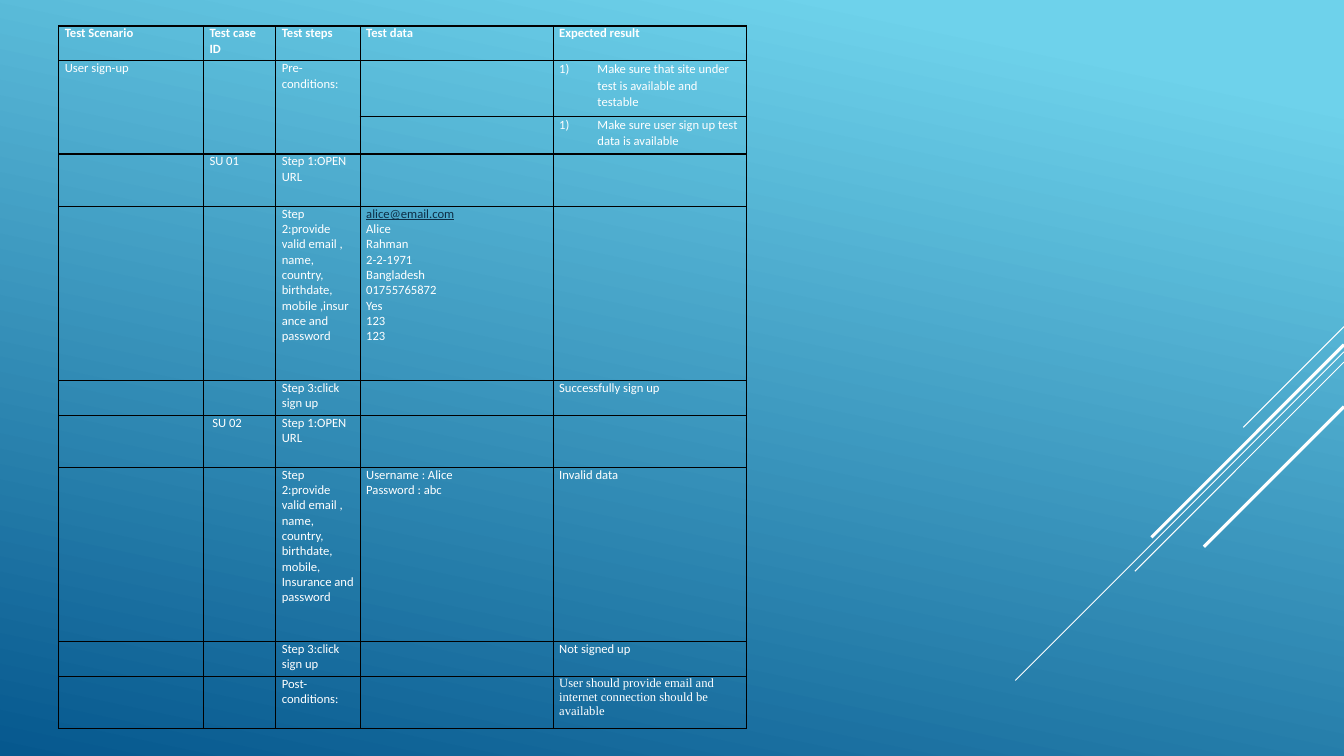
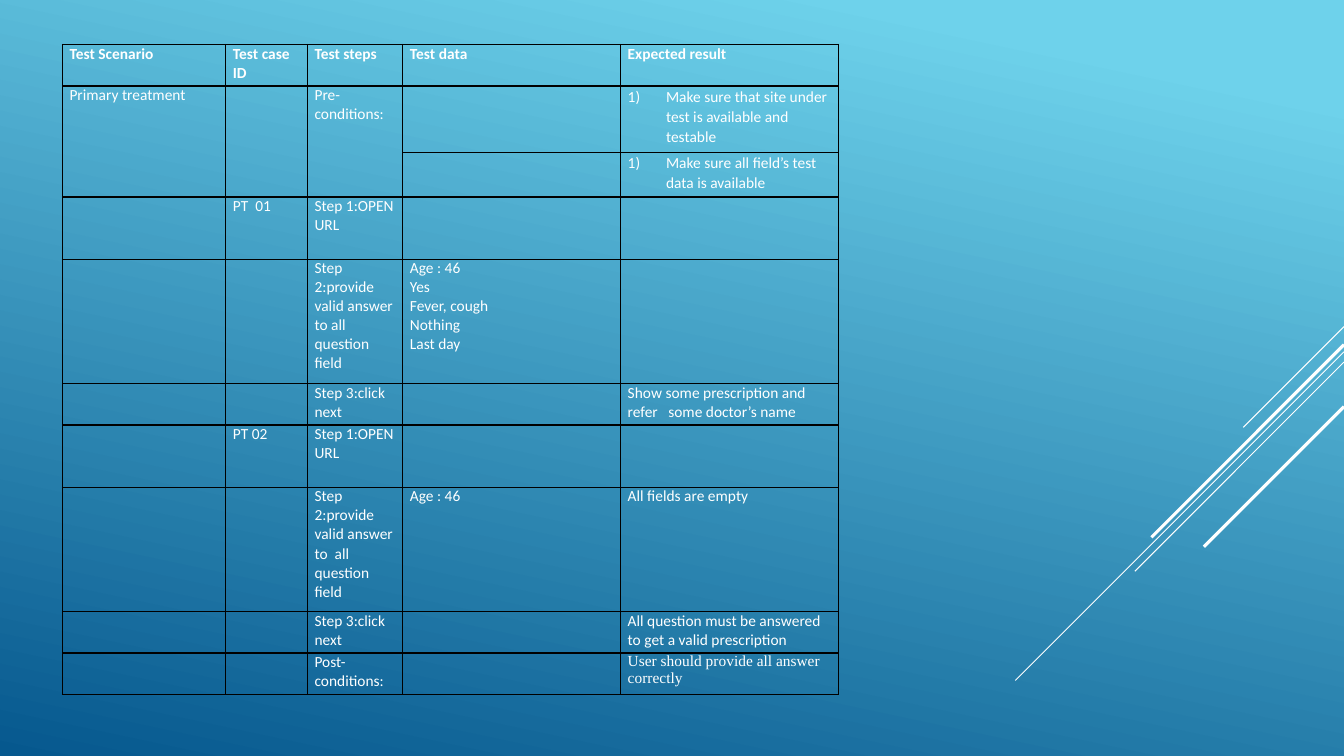
from pptx import Presentation
from pptx.dml.color import RGBColor
from pptx.enum.shapes import MSO_CONNECTOR
from pptx.oxml import parse_xml
from pptx.oxml.ns import nsdecls
from pptx.util import Inches, Pt

STRAIGHT = MSO_CONNECTOR.STRAIGHT
COLS, ROWS = 160, 90  # slide grid
WHITE, BLACK, LINK = "FFFFFF", "000000", "0D2E46"
SKY, DEEP = "6ED2EB", "06588E"
BODY, SERIF = "Calibri", "Times New Roman"
# Top row and run of each diagonal from the right edge, line width in points
RAYS = [(38.88, 12, 0.75), (41.88, 39.12, 0.75), (43.1, 24.9, 0.75),
        (41.04, 22.92, 2.25), (48.4, 16.68, 2.25)]
WIDTHS = [12, 6, 7, 16, 16]
HEADS = ["Test Scenario", "Test case ID", "Test steps", "Test data", "Expected result"]
SITE = "Make sure that site under test is available and testable"


def color(code):
    return RGBColor.from_string(code)


def xml(tag, attrs="", inner=""):
    return parse_xml(f"<a:{tag} {nsdecls('a')} {attrs}>{inner}</a:{tag}>")


def split(total, parts):
    """Divide a length in proportion to the parts."""
    return [round(total * part / sum(parts)) for part in parts]


def write(frame, text, size, font=BODY, bold=False, listed=False):
    """Fill a frame, one paragraph a line; addresses look like links."""
    for i, line in enumerate(text.split("\n")):
        para = frame.paragraphs[0] if i == 0 else frame.add_paragraph()
        if listed:
            para.line_spacing = 1.07
            props = para._p.get_or_add_pPr()
            props.set("marL", str(Inches(0.38)))
            props.set("indent", str(-Inches(0.38)))
            props.append(xml("buAutoNum", 'type="arabicParenR"'))
        run = para.add_run()
        run.text = line
        link = "@" in line
        run.font.name, run.font.size = font, Pt(size)
        run.font.bold, run.font.underline = bold, link
        run.font.color.rgb = color(LINK if link else WHITE)


def case(code, fill, data, reply, click, result):
    """Three table rows: open, fill in, click."""
    return [["", code, "Step 1:OPEN URL", "", ""],
            ["", "", "Step 2:provide valid " + fill, data, reply],
            ["", "", "Step 3:click " + click, "", result]]


class Deck:
    def __init__(self):
        self.prs = Presentation()
        self.prs.slide_width = Inches(13.33)
        self.prs.slide_height = Inches(7.5)
        self.slide = None
        self.paint()

    def x(self, cols):
        return round(self.prs.slide_width * cols / COLS)

    def y(self, rows):
        return round(self.prs.slide_height * rows / ROWS)

    def paint(self):
        """Give the master its gradient."""
        fill = self.prs.slide_master.background.fill
        fill.gradient()
        fill.gradient_angle = 360 - 102
        for stop, place, code in zip(fill.gradient_stops, (0.1, 1), (SKY, DEEP)):
            stop.position = place
            stop.color.rgb = color(code)

    def page(self):
        self.slide = self.prs.slides.add_slide(self.prs.slide_layouts[6])
        for top, run, width in RAYS:
            self.ray(top, run, width)

    def ray(self, top, run, width):
        """Draw a diagonal down and left from the right edge."""
        ray = self.slide.shapes.add_connector(
            STRAIGHT, self.x(COLS), self.y(top), self.x(COLS - run), self.y(top + run))
        ray.line.color.rgb = color(WHITE)
        ray.line.width = Pt(width)
        ray._element.spPr.append(xml("effectLst"))

    def cell(self, cell, text, size, pad, **style):
        cell.margin_left = cell.margin_right = Inches(pad)
        cell.margin_top = cell.margin_bottom = 0
        cell.fill.background()
        props = cell._tc.get_or_add_tcPr()
        paint = f'<a:solidFill><a:srgbClr val="{BLACK}"/></a:solidFill>'
        for i, side in enumerate("LRTB"):
            props.insert(i, xml("ln" + side, f'w="{Pt(1)}"', paint))
        if text:
            write(cell.text_frame, text, size, **style)

    def grid(self, box, cells, parts, size, pad):
        left, top, wide, high = box
        wide, high = self.x(wide), self.y(high)
        table = self.slide.shapes.add_table(
            len(cells), len(WIDTHS), self.x(left), self.y(top), wide, high).table
        table.first_row = table.horz_banding = False
        for col, width in zip(table.columns, split(wide, WIDTHS)):
            col.width = width
        for row, height in zip(table.rows, split(high, parts)):
            row.height = height
        last = len(cells) - 1
        for r, line in enumerate(cells):
            for c, text in enumerate(line):
                end = c == len(WIDTHS) - 1
                self.cell(table.cell(r, c), text, size, pad, bold=r == 0,
                          listed=end and r in (1, 2),
                          font=SERIF if end and r == last else BODY)
        for c in range(3):
            table.cell(1, c).merge(table.cell(2, c))

    def sheet(self, box, name, need, cases, post, fill, tail, size, pad):
        """Add a test sheet; fill and tail are row heights in text lines."""
        self.page()
        cells = [HEADS, [name, "", "Pre-conditions:", "", SITE], ["", "", "", "", need]]
        parts = [2, 3.2, 2.15]
        for item in cases:
            cells += case(*item)
            parts += [3, fill, 2]
        cells.append(["", "", "Post-conditions:", "", post])
        self.grid(box, cells, parts + [tail], size, pad)


def main():
    deck = Deck()
    user = "\n".join(["alice@email.com", "Alice", "Rahman", "2-2-1971", "Bangladesh",
                      "01755765872", "Yes", "123", "123"])
    deck.sheet(
        (7, 3.1, 81.84, 83.64), "User sign-up",
        "Make sure user sign up test data is available",
        [("SU 01", "email , name, country, birthdate, mobile ,insurance and password",
          user, "", "sign up", "Successfully sign up"),
         (" SU 02", "email , name, country, birthdate, mobile, Insurance and password",
          "Username : Alice\nPassword : abc", "Invalid data", "sign up", "Not signed up")],
        "User should provide email and internet connection should be available",
        fill=10, tail=3, size=9, pad=0.06)
    deck.sheet(
        (7.44, 5.3, 92.4, 77.4), "Primary treatment",
        "Make sure all field’s test data is available",
        [("PT  01", "answer to all question field",
          "Age : 46\nYes\nFever, cough\nNothing\nLast day", "", "next",
          "Show some prescription and refer   some doctor’s name"),
         ("PT 02", "answer to  all question field", "Age : 46", "All fields are empty",
          "next", "All question must be answered to get a valid prescription")],
        "User should provide all answer correctly",
        fill=6, tail=2, size=11, pad=0.07)
    deck.prs.save("out.pptx")


if __name__ == "__main__":
    main()
